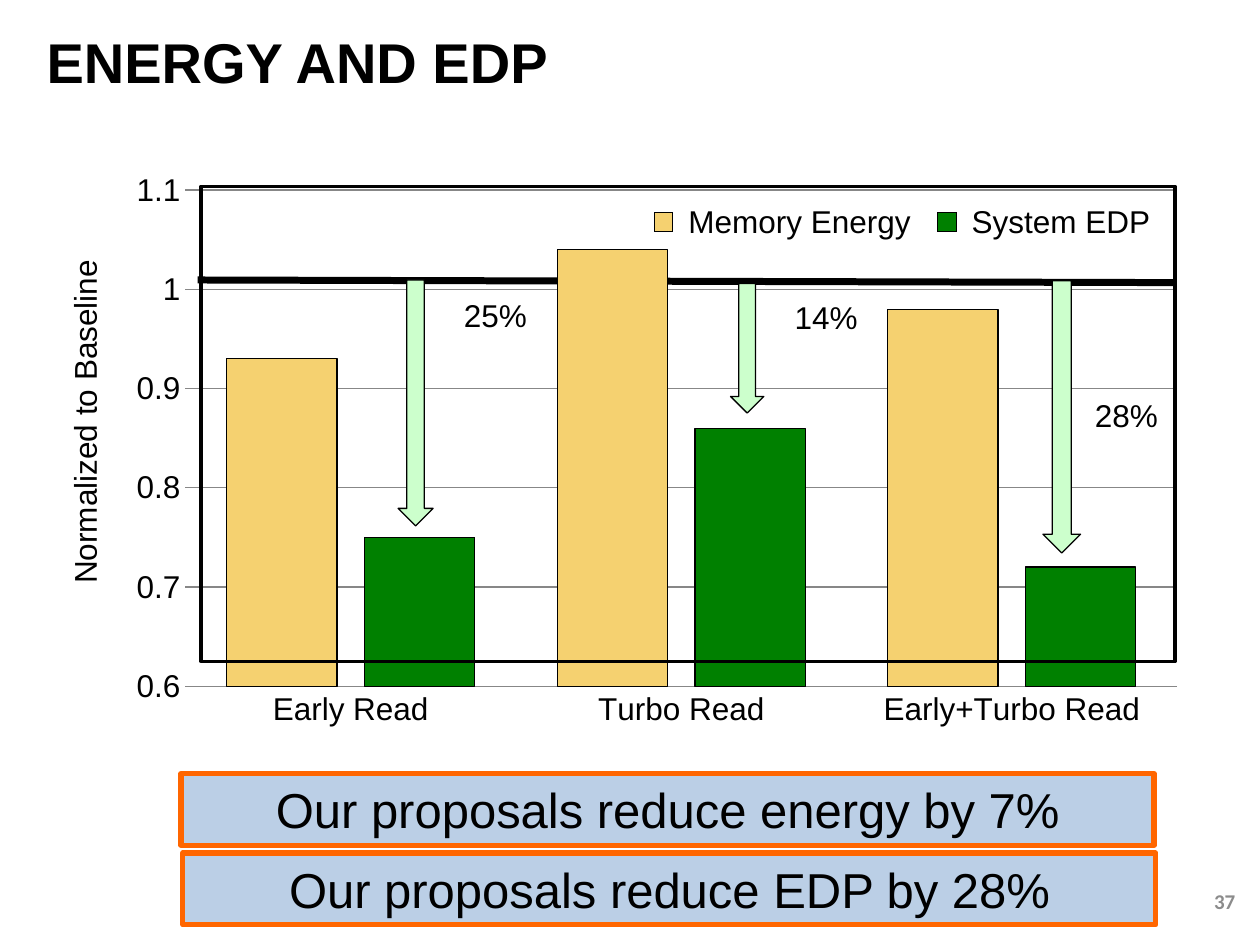
from lxml import etree
from pptx import Presentation
from pptx import util as u
from pptx.chart import data
from pptx.dml.color import RGBColor
from pptx.enum import chart as charts, shapes, text
from pptx.oxml.ns import qn

Pt = u.Pt
COLORS = {
    "black": "000000", "grey": "8C8C8C", "grid": "878787",
    "sand": "F5D170", "green": "008000", "mint": "CCFFCC",
    "blue": "BBCFE6", "orange": "FF6600",
}


class SlideBuilder:
    def __init__(self, slide, font="Arial"):
        self.slide = slide
        self.font = font

    def color(self, name):
        return RGBColor.from_string(COLORS[name])

    def box(self, *frame):
        return [Pt(length) for length in frame]

    def outline(self, line, color, width):
        line.color.rgb = self.color(color)
        line.width = Pt(width)

    def style(self, font, size, color="black", bold=False, name=None):
        font.name = name or self.font
        font.size = Pt(size)
        font.bold = bold
        font.color.rgb = self.color(color)

    def set_words(self, frame, words, size, align=None, **look):
        paragraph = frame.paragraphs[0]
        paragraph.text = words
        paragraph.alignment = align
        self.style(paragraph.font, size, **look)

    def label(self, words, frame, size=18, align=None, parent=None,
              wrap=False, anchor=text.MSO_ANCHOR.TOP, rotation=0, **look):
        holder = (parent or self.slide).shapes
        label = holder.add_textbox(*self.box(*frame))
        label.rotation = rotation
        label.text_frame.word_wrap = wrap
        label.text_frame.vertical_anchor = anchor
        self.set_words(label.text_frame, words, size, align, **look)

    def shape(self, kind, frame, fill, line, width, parent=None):
        holder = (parent or self.slide).shapes
        shape = holder.add_shape(kind, *self.box(*frame))
        shape.shadow.inherit = False
        if fill:
            shape.fill.solid()
            shape.fill.fore_color.rgb = self.color(fill)
        else:
            shape.fill.background()
        self.outline(shape.line, line, width)
        return shape

    def banner(self, words, left, top):
        banner = self.shape(shapes.MSO_SHAPE.RECTANGLE,
                            (left, top, 556, 41), "blue", "orange", 3)
        banner.text_frame.word_wrap = True
        self.set_words(banner.text_frame, words, 28, text.PP_ALIGN.CENTER)

    def line(self, start, end, width):
        line = self.slide.shapes.add_connector(
            shapes.MSO_CONNECTOR.STRAIGHT, *self.box(*start, *end))
        self.outline(line.line, "black", width)
        etree.SubElement(line._element.spPr, qn("a:effectLst"))

    def saving(self, words, arrow, label):
        group = self.slide.shapes.add_group_shape()
        self.shape(shapes.MSO_SHAPE.DOWN_ARROW, arrow, "mint", "black", 0.75, group)
        self.label(words, (*label, 51, 29), parent=group)

    def place(self, element, index, target=None, **edges):
        for old in element.findall(qn("c:layout")):
            element.remove(old)
        layout = etree.Element(qn("c:layout"))
        manual = etree.SubElement(layout, qn("c:manualLayout"))
        settings = {"layoutTarget": target} if target else {}
        settings.update(xMode="edge", yMode="edge", **edges)
        for tag, value in settings.items():
            etree.SubElement(manual, qn(f"c:{tag}")).set("val", str(value))
        element.insert(index, layout)

    def column_chart(self, frame, categories, series):
        values = data.CategoryChartData()
        values.categories = categories
        for name, numbers, _ in series:
            values.add_series(name, numbers)
        chart = self.slide.shapes.add_chart(
            charts.XL_CHART_TYPE.COLUMN_CLUSTERED, *self.box(*frame), values).chart
        self.style(chart.font, 18)
        chart.has_title = False

        plot = chart.plots[0]
        plot.gap_width, plot.overlap, plot.vary_by_categories = 75, -25, False
        for bars, (_, _, color) in zip(plot.series, series):
            bars.format.fill.solid()
            bars.format.fill.fore_color.rgb = self.color(color)
            self.outline(bars.format.line, "black", 0.75)

        scale = chart.value_axis
        scale.minimum_scale, scale.maximum_scale, scale.major_unit = 0.6, 1.1, 0.1
        scale.format.line.fill.background()
        self.outline(scale.major_gridlines.format.line, "grid", 0.75)
        self.outline(chart.category_axis.format.line, "grid", 0.75)
        for axis in (scale, chart.category_axis):
            axis.major_tick_mark = charts.XL_TICK_MARK.NONE

        chart.has_legend = True
        chart.legend.position = charts.XL_LEGEND_POSITION.BOTTOM
        chart.legend.include_in_layout = False
        self.place(chart.legend._element, 1, x=0.48, y=0.06, w=0.49, h=0.08)
        plot_area = chart._chartSpace.chart.plotArea
        self.place(plot_area, 0, "inner", x=0.06, y=0.05, w=0.92, h=0.78)


def main():
    deck = Presentation()
    deck.slide_width, deck.slide_height = Pt(720), Pt(540)
    page = SlideBuilder(deck.slides.add_slide(deck.slide_layouts[6]))
    middle = text.MSO_ANCHOR.MIDDLE

    page.label("ENERGY AND EDP", (19.5, 16, 660, 38), 32,
               wrap=True, anchor=middle, bold=True)
    page.label("37", (545, 500.5, 168, 29), 12, text.PP_ALIGN.RIGHT, wrap=True,
               anchor=middle, color="grey", bold=True, name="Calibri")

    page.line((113, 160), (672, 161.5), 4)
    page.column_chart(
        (69, 90.5, 616, 363.5),
        ["Early Read", "Turbo Read", "Early+Turbo Read"],
        [(" Memory Energy", (0.93, 1.04, 0.98), "sand"),
         (" System EDP", (0.75, 0.86, 0.72), "green")])
    page.label("Normalized to Baseline", (-52.5, 225.5, 201.5, 29), rotation=270)
    page.shape(shapes.MSO_SHAPE.RECTANGLE, (115, 106.5, 556.5, 271.5),
               None, "black", 2)

    page.saving("25%", (227.5, 160, 20, 140.5), (258, 165.5))
    page.saving("28%", (596, 160.5, 21.5, 155.5), (618.5, 222.5))
    page.saving("14%", (417.5, 162, 19, 74), (447, 166.5))

    page.banner("Our proposals reduce energy by 7%", 103.5, 442)
    page.banner("Our proposals reduce EDP by 28%", 104.5, 487.5)
    deck.save("out.pptx")


if __name__ == "__main__":
    main()
